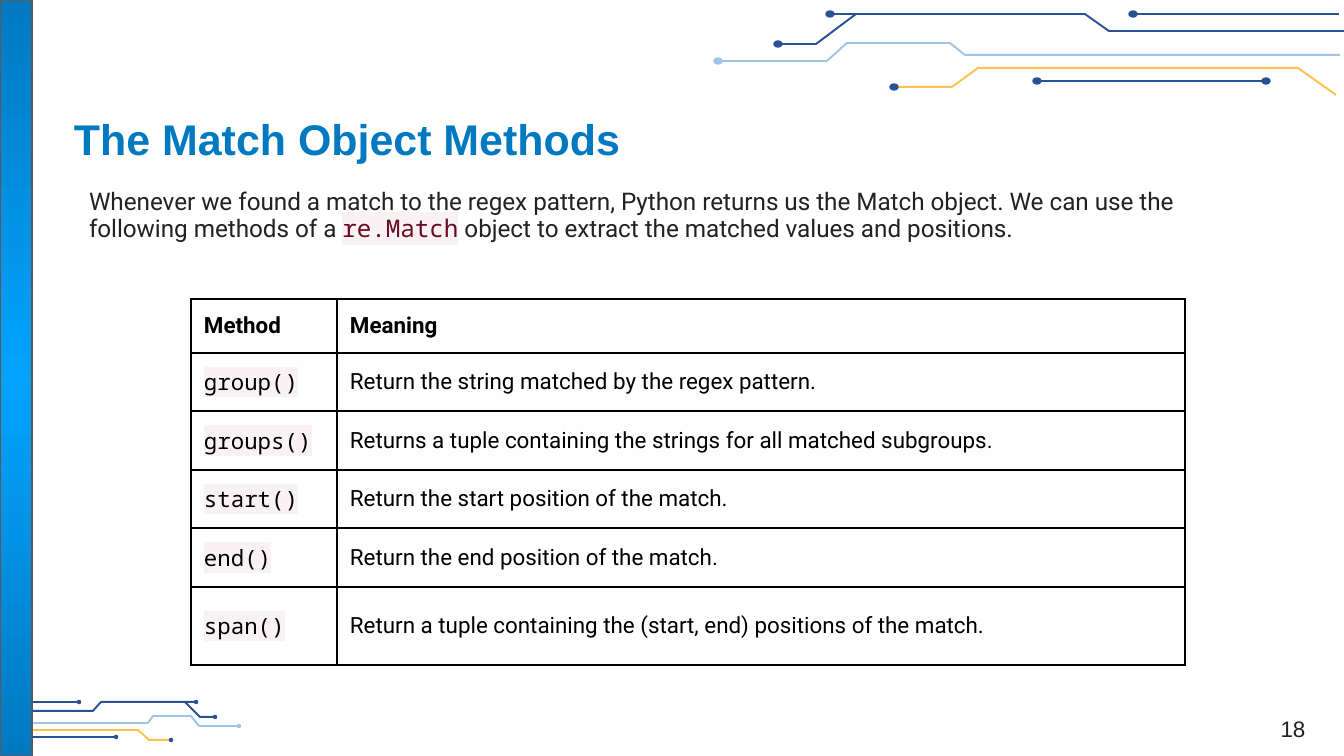
from typing import NamedTuple

from lxml import etree
from pptx import Presentation
from pptx import util as u
from pptx.dml.color import RGBColor
from pptx.enum import shapes, text
from pptx.oxml import ns

EMU_PER_PX = 914400 / 134.4
NAVY = RGBColor(0x28, 0x52, 0x93)
SKY = RGBColor(0x9F, 0xC5, 0xE8)
GOLD = RGBColor(0xFE, 0xC1, 0x4F)
BLUE = RGBColor(0x00, 0x79, 0xC0)
BRIGHT = RGBColor(0x03, 0xA3, 0xFF)
GREY = RGBColor(0x59, 0x59, 0x59)
INK = RGBColor(0x22, 0x22, 0x22)
BLACK = RGBColor(0x00, 0x00, 0x00)
WINE = RGBColor(0x6C, 0x0B, 0x24)
CODE_BG = RGBColor(0xF9, 0xF2, 0xF4)
CELL_BG = RGBColor(0xFE, 0xFE, 0xFE)
MONO = "Noto Sans Mono"


class Trace(NamedTuple):
    color: RGBColor
    points: list[tuple[int, int]]
    dot: RGBColor = NAVY
    both_ends: bool = False


class Box(NamedTuple):
    x: int
    y: int
    w: int
    h: int
    inset_x: int
    inset_y: int
    anchor: text.MSO_ANCHOR


class Method(NamedTuple):
    name: str
    meaning: str
    height: int


TOP_TRACES = [
    Trace(NAVY, [(1344, 31), (1109, 31), (1085, 14), (830, 14)]),
    Trace(NAVY, [(856, 14), (816, 44), (778, 44)]),
    Trace(NAVY, [(1339, 14), (1133, 14)]),
    Trace(GOLD, [(1336, 95), (1298, 68), (978, 68), (952, 87), (894, 87)]),
    Trace(NAVY, [(1266, 81), (1037, 81)], both_ends=True),
    Trace(SKY, [(1340, 55), (965, 55), (950, 43), (847, 43), (827, 61), (718, 61)], SKY),
]
BOTTOM_TRACES = [
    Trace(NAVY, [(5, 711), (93, 711), (101, 702), (196, 702)]),
    Trace(NAVY, [(185, 702), (200, 717), (215, 717)]),
    Trace(NAVY, [(0, 702), (79, 702)]),
    Trace(GOLD, [(1, 745), (16, 730), (138, 730), (149, 740), (171, 740)]),
    Trace(NAVY, [(28, 737), (116, 737)], both_ends=True),
    Trace(SKY, [(11, 723), (148, 723), (153, 716), (191, 716), (199, 726), (239, 726)], SKY),
]
TITLE = Box(64, 99, 1193, 78, 10, 10, text.MSO_ANCHOR.MIDDLE)
BODY = Box(79, 178, 1172, 78, 10, 10, text.MSO_ANCHOR.TOP)
NUMBER = Box(1250, 688, 86, 59, 10, 5, text.MSO_ANCHOR.BOTTOM)
METHODS = [
    Method("Method", "Meaning", 54),
    Method("group()", "Return the string matched by the regex pattern.", 58),
    Method("groups()", "Returns a tuple containing the strings for all matched subgroups.", 59),
    Method("start()", "Return the start position of the match.", 58),
    Method("end()", "Return the end position of the match.", 59),
    Method("span()", "Return a tuple containing the (start, end) positions of the match.", 78),
]
COLUMNS = (146, 848)


def px(n: float) -> int:
    return round(n * EMU_PER_PX)


def draw_trace(s, trace: Trace, dot_w: int, dot_h: int) -> None:
    pts = trace.points
    if len(pts) == 2:
        sp = s.shapes.add_connector(shapes.MSO_CONNECTOR.STRAIGHT, *(px(v) for pt in pts for v in pt))
        etree.SubElement(sp._element.spPr, ns.qn("a:effectLst"))
    else:
        builder = s.shapes.build_freeform(*pts[0], scale=EMU_PER_PX)
        builder.add_line_segments(pts[1:], close=False)
        sp = builder.convert_to_shape()
        sp.shadow.inherit = False
        sp.fill.background()
    sp.line.color.rgb = trace.color
    sp.line.width = u.Pt(1.03)
    for x, y in (pts[0], pts[-1]) if trace.both_ends else pts[-1:]:
        dot = s.shapes.add_shape(shapes.MSO_SHAPE.OVAL, px(x - dot_w / 2), px(y - dot_h / 2),
                                 px(dot_w), px(dot_h))
        dot.shadow.inherit = False
        dot.fill.solid()
        dot.fill.fore_color.rgb = trace.dot
        dot.line.color.rgb = trace.dot
        dot.line.width = u.Pt(0.75)


def draw_sidebar(s) -> None:
    sp = s.shapes.add_shape(shapes.MSO_SHAPE.RECTANGLE, 0, 0, px(32), px(756))
    sp.shadow.inherit = False
    sp.line.color.rgb = GREY
    sp.line.width = u.Pt(0.75)
    sp.fill.gradient()
    for stop, color in zip(sp.fill.gradient_stops, (BRIGHT, BLUE)):
        stop.color.rgb = color
    grad = sp._element.spPr.find(ns.qn("a:gradFill"))
    grad.remove(grad.find(ns.qn("a:lin")))
    radial = etree.SubElement(grad, ns.qn("a:path"), {"path": "circle"})
    etree.SubElement(radial, ns.qn("a:fillToRect"), {side: "50000" for side in "ltrb"})


def add_box(s, box: Box):
    tf = s.shapes.add_textbox(px(box.x), px(box.y), px(box.w), px(box.h)).text_frame
    tf.word_wrap = True
    tf.vertical_anchor = box.anchor
    tf.margin_left = tf.margin_right = px(box.inset_x)
    tf.margin_top = tf.margin_bottom = px(box.inset_y)
    return tf.paragraphs[0]


def set_font(font, name: str, size: int, color: RGBColor, bold: bool = False) -> None:
    font.name, font.size, font.bold = name, u.Pt(size), bold
    font.color.rgb = color


def highlight(r, color: RGBColor) -> None:
    mark = etree.Element(ns.qn("a:highlight"))
    etree.SubElement(mark, ns.qn("a:srgbClr"), val=str(color))
    rPr = r._r.get_or_add_rPr()
    fill = rPr.find(ns.qn("a:solidFill"))
    if fill is None:
        rPr.insert(0, mark)
    else:
        fill.addnext(mark)


def fill_cell(cell, words: str, font_name: str, back: RGBColor, bold: bool) -> None:
    cell.margin_left = cell.margin_right = cell.margin_top = cell.margin_bottom = px(13)
    cell.vertical_anchor = text.MSO_ANCHOR.MIDDLE
    p = cell.text_frame.paragraphs[0]
    r = p.add_run()
    r.text = words
    set_font(p.font, font_name, 12, BLACK, bold)
    highlight(r, back)
    tcPr = cell._tc.get_or_add_tcPr()
    for side in ("lnL", "lnR", "lnT", "lnB"):
        ln = etree.SubElement(tcPr, ns.qn(f"a:{side}"), w=str(u.Pt(0.75)))
        solid = etree.SubElement(ln, ns.qn("a:solidFill"))
        etree.SubElement(solid, ns.qn("a:srgbClr"), val=str(BLACK))
    cell.fill.solid()
    cell.fill.fore_color.rgb = CELL_BG


def draw_table(s) -> None:
    table = s.shapes.add_table(len(METHODS), len(COLUMNS), px(191), px(299), px(sum(COLUMNS)),
                               px(sum(m.height for m in METHODS))).table
    table.first_row = table.horz_banding = False
    for column, width in zip(table.columns, COLUMNS):
        column.width = px(width)
    for i, method in enumerate(METHODS):
        head = i == 0
        table.rows[i].height = px(method.height)
        fill_cell(table.cell(i, 0), method.name, "Roboto" if head else MONO,
                  CELL_BG if head else CODE_BG, head)
        fill_cell(table.cell(i, 1), method.meaning, "Roboto", CELL_BG, head)


def main() -> None:
    prs = Presentation()
    prs.slide_width, prs.slide_height = px(1344), px(756)
    s = prs.slides.add_slide(prs.slide_layouts[6])
    for trace in BOTTOM_TRACES:
        draw_trace(s, trace, 3, 3)
    for trace in TOP_TRACES:
        draw_trace(s, trace, 8, 6)
    draw_sidebar(s)

    p = add_box(s, TITLE)
    p.add_run().text = "The Match Object Methods"
    set_font(p.font, "Arial", 23, BLUE, True)

    p = add_box(s, BODY)
    p.line_spacing = 0.95
    p.space_after = u.Pt(15)
    for words, name, color in (
        ("Whenever we found a match to the regex pattern, Python returns us the Match object. "
         "We can use the following methods of a ", "Roboto", INK),
        ("re.Match", MONO, WINE),
        (" object to extract the matched values and positions.", "Roboto", INK),
    ):
        r = p.add_run()
        r.text = words
        set_font(r.font, name, 13, color)
        if name == MONO:
            highlight(r, CODE_BG)

    p = add_box(s, NUMBER)
    p.alignment = text.PP_ALIGN.CENTER
    p.add_run().text = "18"
    set_font(p.font, "Arial", 12, INK)
    draw_table(s)
    prs.save("out.pptx")


if __name__ == "__main__":
    main()
